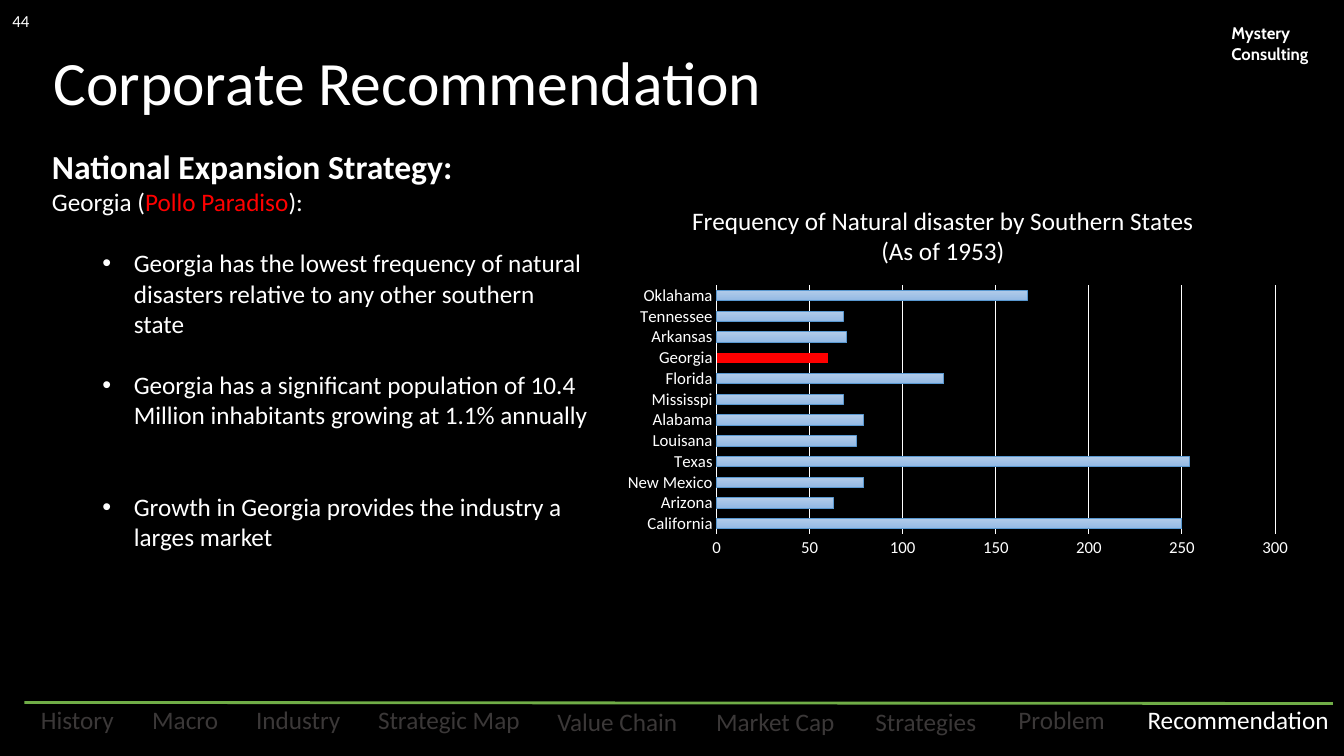
from lxml import etree
from pptx import Presentation
from pptx import util as u
from pptx.chart.data import CategoryChartData
from pptx.dml.color import RGBColor
from pptx.enum import chart as charts, shapes, text
from pptx.oxml import parse_xml
from pptx.oxml.ns import nsdecls, qn

COLORS = {"back": "000000", "text": "FFFFFF", "muted": "3B3838", "accent": "FF0000",
          "rule": "70AD47", "bar_top": "B1CBE9", "bar_bottom": "93B9E4", "bar_edge": "5998D0"}
TABS = [("History", 70.5, 502.5), ("Macro", 66, 502.5), ("Industry", 78, 502.5),
        ("Strategic Map", 119.5, 502.5), ("Value Chain", 103.5, 503.5),
        ("Market Cap", 104.5, 504), ("Strategies", 93, 504), ("Problem", 83.5, 502.5),
        ("Recommendation", 151, 502.5)]
TAB_GAP = 8.8
BULLETS = [("Georgia has the lowest frequency of natural disasters relative to any other southern state", 22),
           ("Georgia has a significant population of 10.4 Million inhabitants growing at 1.1% annually", 22),
           ("Growth in Georgia provides the industry a larges market", 44)]
DISASTERS = {"California": 250, "Arizona": 63, "New Mexico": 79, "Texas": 254,
             "Louisana": 75, "Alabama": 79, "Mississpi": 68, "Florida": 122,
             "Georgia": 60, "Arkansas": 70, "Tennessee": 68, "Oklahama": 167}


def color(name):
    return RGBColor.from_string(COLORS[name])


def assign(target, values):
    for name, value in values.items():
        setattr(target, name, value)


class SlideBuilder:
    def __init__(self, slide, font):
        self.slide = slide
        self.font = font
        slide.background.fill.solid()
        slide.background.fill.fore_color.rgb = color("back")

    def style(self, font, size, ink="text", **values):
        assign(font, {"name": self.font, "size": u.Pt(size), **values})
        font.color.rgb = color(ink)

    def paragraph(self, frame, spans, size, first=False, bullet=False, bold=False, **values):
        para = frame.paragraphs[0] if first else frame.add_paragraph()
        if bullet:
            props = para._p.get_or_add_pPr()
            props.set("marL", str(u.Pt(58.5)))
            props.set("indent", str(u.Pt(-22.5)))
            etree.SubElement(props, qn("a:buFont")).set("typeface", "Arial")
            etree.SubElement(props, qn("a:buChar")).set("char", "•")
        assign(para, values)
        for words, ink in spans:
            span = para.add_run()
            span.text = words
            self.style(span.font, size, ink, bold=bold)
        return para

    def textbox(self, left, top, width, height, **values):
        box = self.slide.shapes.add_textbox(*map(u.Pt, (left, top, width, height)))
        assign(box.text_frame, {"word_wrap": True, **values})
        return box.text_frame

    def tab(self, label, left, top, width, ink):
        box = self.slide.shapes.add_shape(
            shapes.MSO_SHAPE.ROUNDED_RECTANGLE, *map(u.Pt, (left, top, width, 23)))
        box.shadow.inherit = False
        box.fill.background()
        box.line.fill.background()
        assign(box.text_frame, {"margin_left": 0, "margin_right": 0, "margin_top": 0,
                                "margin_bottom": 0, "vertical_anchor": text.MSO_ANCHOR.MIDDLE})
        self.paragraph(box.text_frame, [(label, ink)], 18, True, alignment=text.PP_ALIGN.CENTER)

    def rule(self, left, top, right, bottom):
        line = self.slide.shapes.add_connector(
            shapes.MSO_CONNECTOR.STRAIGHT, *map(u.Pt, (left, top, right, bottom)))
        line.line.color.rgb = color("rule")
        line.line.width = u.Pt(2)
        etree.SubElement(line._element.spPr, qn("a:effectLst"))

    def layout(self, parent, index, inner=False, **fractions):
        for old in parent.findall(qn("c:layout")):
            parent.remove(old)
        target = '<c:layoutTarget val="inner"/>' if inner else ""
        modes = "".join(f'<c:{key}Mode val="edge"/>' for key in "xy")
        sizes = "".join(f'<c:{key} val="{value}"/>' for key, value in fractions.items())
        parent.insert(index, parse_xml(
            f'<c:layout {nsdecls("c")}><c:manualLayout>{target}{modes}{sizes}'
            '</c:manualLayout></c:layout>'))

    def bar_chart(self, left, top, width, height, title, values, highlight):
        data = CategoryChartData()
        data.categories = list(values)
        data.add_series("Series 1", list(values.values()))
        chart = self.slide.shapes.add_chart(
            charts.XL_CHART_TYPE.BAR_CLUSTERED, *map(u.Pt, (left, top, width, height)), data).chart
        self.style(chart.font, 10)
        assign(chart, {"has_legend": False, "has_title": True})
        frame = chart.chart_title.text_frame
        for index, words in enumerate(title):
            self.paragraph(frame, [(words, "text")], 18, index == 0,
                           alignment=text.PP_ALIGN.CENTER)
        self.layout(chart.chart_title._element, 1, x=0.11, y=0.05)
        self.layout(chart._chartSpace.chart.plotArea, 0, True, x=0.15, y=0.27, w=0.81, h=0.65)
        for axis in (chart.category_axis, chart.value_axis):
            assign(axis, {"major_tick_mark": charts.XL_TICK_MARK.NONE,
                          "minor_tick_mark": charts.XL_TICK_MARK.NONE})
            self.style(axis.tick_labels.font, 12)
        assign(chart.value_axis, {"minimum_scale": 0, "maximum_scale": 300, "major_unit": 50})
        chart.value_axis.format.line.fill.background()
        for line in (chart.category_axis.format.line, chart.value_axis.major_gridlines.format.line):
            line.color.rgb = color("text")
            line.width = u.Pt(0.75)
        plot = chart.plots[0]
        assign(plot, {"gap_width": 100, "vary_by_categories": False})
        series = plot.series[0]
        series.invert_if_negative = False
        fill = series.format.fill
        fill.gradient()
        fill.gradient_angle = 270
        for stop, ink in zip(fill.gradient_stops, ("bar_top", "bar_bottom")):
            stop.color.rgb = color(ink)
        series.format.line.color.rgb = color("bar_edge")
        series.format.line.width = u.Pt(0.75)
        point = series.points[list(values).index(highlight)].format
        point.fill.solid()
        point.fill.fore_color.rgb = color("accent")
        point.line.fill.background()


def main():
    deck = Presentation()
    assign(deck, {"slide_width": u.Pt(960), "slide_height": u.Pt(540)})
    page = SlideBuilder(deck.slides.add_slide(deck.slide_layouts[6]), "Calibri")

    page.rule(17.5, 501.75, 952, 502.5)
    left = 20
    for label, width, top in TABS:
        page.tab(label, left, top, width, "text" if label == "Recommendation" else "muted")
        left += width + TAB_GAP

    team = page.textbox(872.5, 13, 79, 36)
    para = page.paragraph(team, [("Mystery Consulting", "text")], 12, True, bold=True)
    para.runs[0].font.name = "Cabin"

    middle = text.MSO_ANCHOR.MIDDLE
    number = page.textbox(0, 0, 30, 29, vertical_anchor=middle)
    page.paragraph(number, [("44", "text")], 12, True, alignment=text.PP_ALIGN.CENTER)
    heading = page.textbox(31, 29, 813.5, 64, vertical_anchor=middle)
    page.paragraph(heading, [("Corporate Recommendation", "text")], 44, True, line_spacing=0.9)

    body = page.textbox(30, 101, 397.5, 394.5)
    page.paragraph(body, [("National Expansion Strategy:", "text")], 24, True, bold=True)
    page.paragraph(body, [("Georgia (", "text"), ("Pollo Paradiso", "accent"), ("):", "text")], 18)
    for words, gap in BULLETS:
        page.paragraph(body, [(words, "text")], 18, bullet=True, level=1, space_before=u.Pt(gap))

    page.bar_chart(438, 130, 492.5, 273.5,
                   ["Frequency of Natural disaster by Southern States", "(As of 1953)"],
                   DISASTERS, "Georgia")
    deck.save("out.pptx")


if __name__ == "__main__":
    main()
